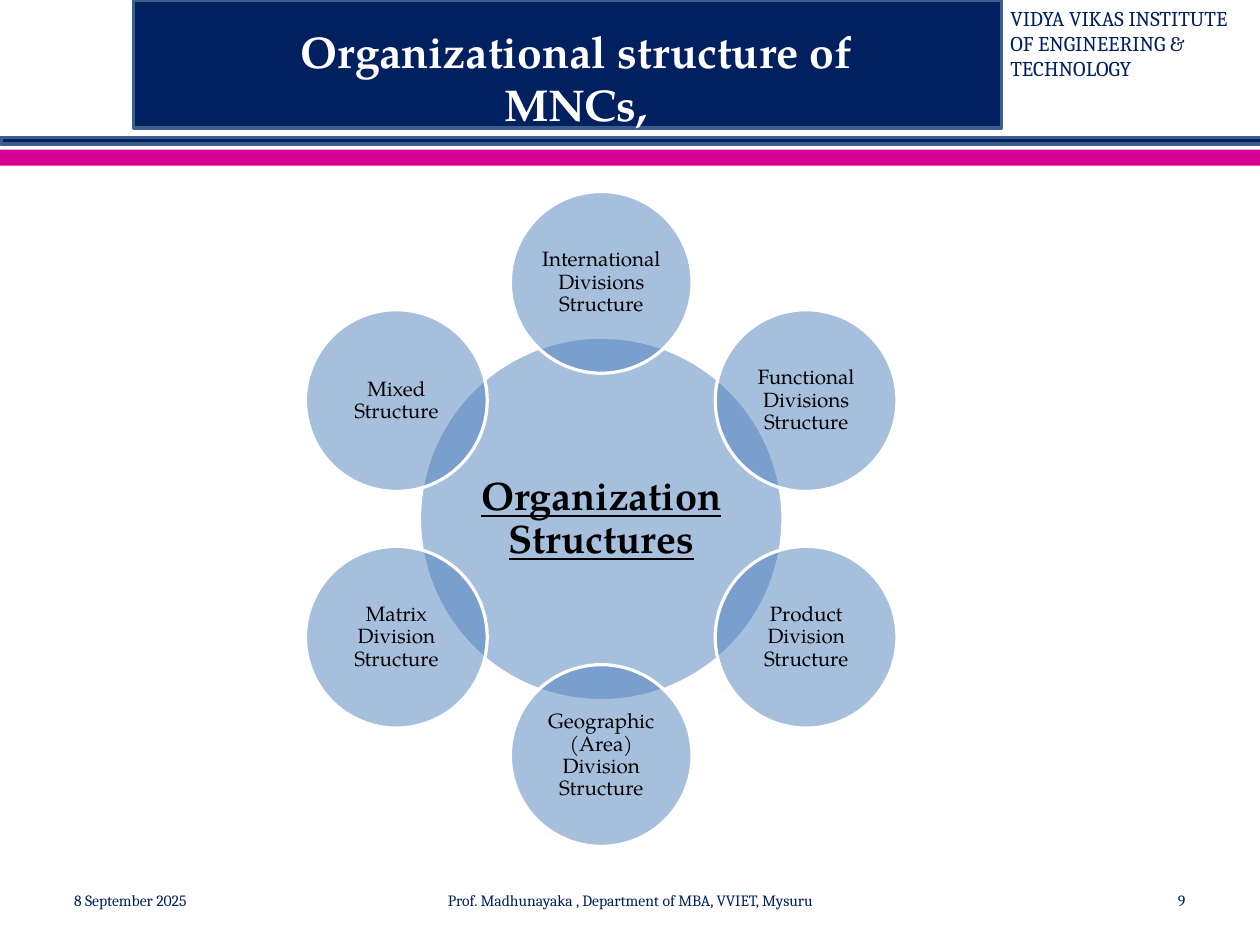
import math

from lxml import etree
from pptx import Presentation
from pptx.dml.color import RGBColor
from pptx.enum.shapes import MSO_SHAPE
from pptx.enum.text import MSO_ANCHOR, MSO_AUTO_SIZE, PP_ALIGN
from pptx.oxml.ns import qn
from pptx.util import Cm, Inches, Pt

RECTANGLE, OVAL = MSO_SHAPE.RECTANGLE, MSO_SHAPE.OVAL
LEFT, CENTER, RIGHT = PP_ALIGN.LEFT, PP_ALIGN.CENTER, PP_ALIGN.RIGHT
TOP, MIDDLE = MSO_ANCHOR.TOP, MSO_ANCHOR.MIDDLE
NO_AUTOFIT = MSO_AUTO_SIZE.NONE

NAVY, EDGE, PINK = "002060", "3A5F8C", "D60093"
BLUE, WHITE, BLACK = "4F81BD", "FFFFFF", "000000"
SERIF, PALATINO = "Cambria", "TeX Gyre Pagella"

TITLE = "Organizational structure of\vMNCs,"
INSTITUTE = "VIDYA VIKAS INSTITUTE OF ENGINEERING & TECHNOLOGY"
BANDS = [
    ((1.17, 0, 7.59, 1.12), NAVY, EDGE),
    ((0.01, 1.2, 11.03, 0.06), NAVY, EDGE),
    ((0, 1.31, 11.03, 0.14), PINK, None),
]
FOOTERS = [
    ("8 September 2025", 0.55, 2.57, LEFT),
    ("Prof. Madhunayaka , Department of MBA, VVIET, Mysuru", 3.77, 3.49, CENTER),
    ("9", 7.9, 2.57, RIGHT),
]
HUB = "Organization Structures"
STRUCTURES = [
    "International Divisions Structure",
    "Functional Divisions Structure",
    "Product Division Structure",
    "Geographic (Area) Division Structure",
    "Matrix Division Structure",
    "Mixed Structure",
]
HUB_X, HUB_Y, HUB_SIZE = 5.26, 4.54, 3.18
ORBIT, CIRCLE_SIZE = 2.07, 1.59


def color(value):
    return RGBColor.from_string(value)


def write(shape, text, size, font=SERIF, fill=NAVY, align=LEFT, anchor=TOP,
          bold=False, underline=False, spacing=1.0, inset=None):
    frame = shape.text_frame
    frame.word_wrap = True
    frame.auto_size = NO_AUTOFIT
    frame.vertical_anchor = anchor
    if inset is not None:
        frame.margin_left = frame.margin_right = Inches(inset)
        frame.margin_top = frame.margin_bottom = Inches(inset)
    frame.text = text
    paragraph = frame.paragraphs[0]
    paragraph.alignment = align
    paragraph.line_spacing = spacing
    for run in paragraph.runs:
        run.font.name = font
        run.font.size = Pt(size)
        run.font.bold = bold
        run.font.underline = underline
        run.font.color.rgb = color(fill)


def add_shape(slide, kind, box, fill, line=None, opacity=100):
    shape = slide.shapes.add_shape(kind, *map(Inches, box))
    shape.shadow.inherit = False
    shape.fill.solid()
    shape.fill.fore_color.rgb = color(fill)
    if opacity < 100:
        fill_color = shape.fill._xPr.find(qn("a:solidFill"))[0]
        etree.SubElement(fill_color, qn("a:alpha"), val=str(opacity * 1000))
    if line:
        shape.line.color.rgb = color(line)
        shape.line.width = Pt(2)
    else:
        shape.line.fill.background()
    return shape


def add_text(slide, text, box, size, **style):
    write(slide.shapes.add_textbox(*map(Inches, box)), text, size, **style)


def add_circle(slide, text, x, y, diameter, size, **style):
    box = (x - diameter / 2, y - diameter / 2, diameter, diameter)
    circle = add_shape(slide, OVAL, box, BLUE, WHITE, opacity=50)
    write(circle, text, size, font=PALATINO, fill=BLACK, align=CENTER,
          anchor=MIDDLE, spacing=0.9, **style)


def main():
    presentation = Presentation()
    presentation.slide_width = Cm(28)
    presentation.slide_height = Cm(21)
    slide = presentation.slides.add_slide(presentation.slide_layouts[5])

    for box, fill, line in BANDS:
        add_shape(slide, RECTANGLE, box, fill, line)
    add_text(slide, INSTITUTE, (8.74, 0, 2.28, 0.77), 13.2)

    title = slide.shapes.title
    title.left, title.top = Inches(1.4), Inches(0.16)
    title.width, title.height = Inches(7.28), Inches(0.9)
    write(title, TITLE, 28, font=PALATINO, fill=WHITE, align=CENTER, bold=True)
    slide.shapes._spTree.append(title._element)

    for text, left, width, align in FOOTERS:
        add_text(slide, text, (left, 7.66, width, 0.44), 9.9, align=align, anchor=MIDDLE)

    add_circle(slide, HUB, HUB_X, HUB_Y, HUB_SIZE, 25, bold=True, underline=True, inset=0.03)
    for index, text in enumerate(STRUCTURES):
        angle = 2 * math.pi * index / len(STRUCTURES)
        x = HUB_X + ORBIT * math.sin(angle)
        y = HUB_Y - ORBIT * math.cos(angle)
        add_circle(slide, text, x, y, CIRCLE_SIZE, 13, inset=0.02)

    presentation.save("out.pptx")


if __name__ == "__main__":
    main()
